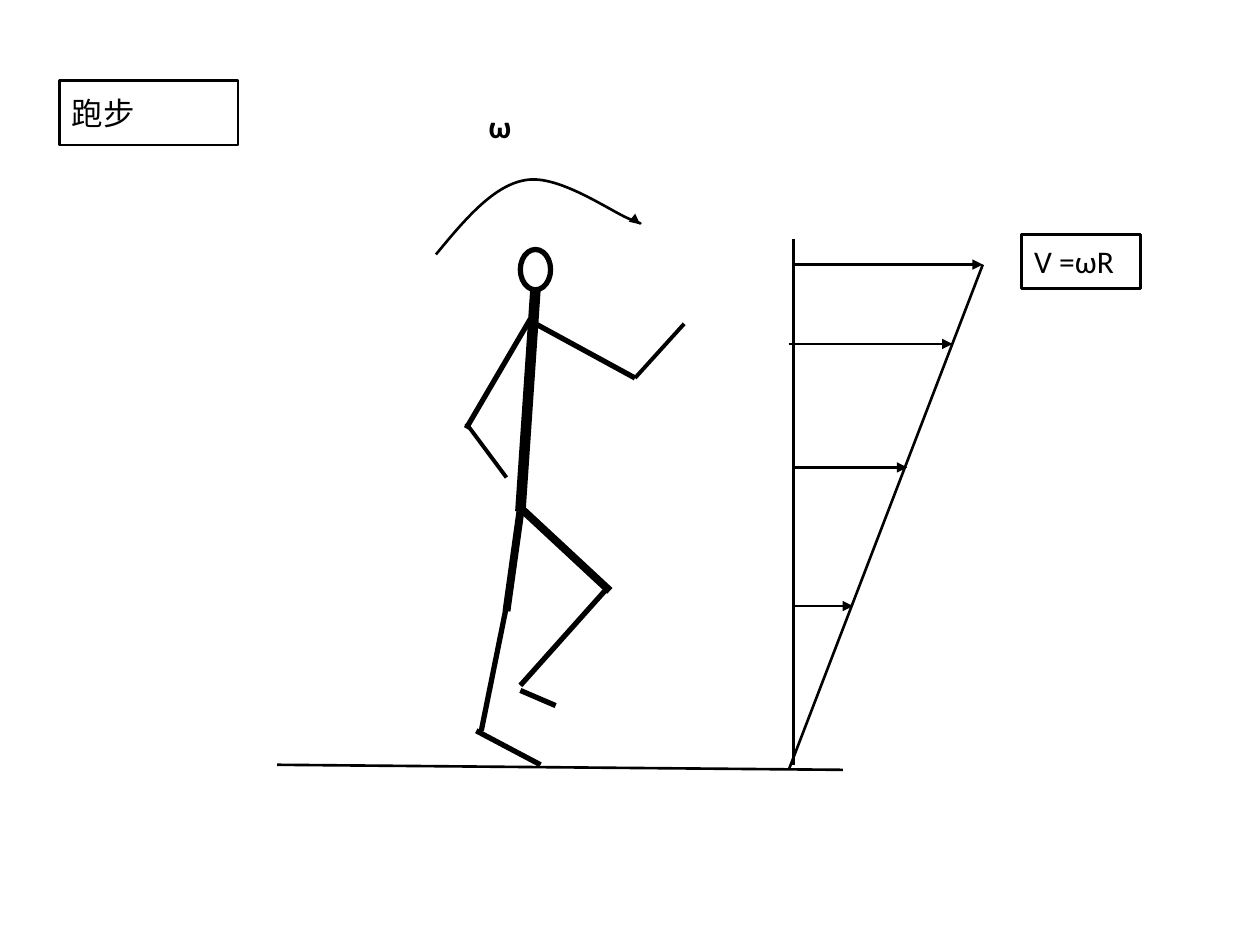
from dataclasses import dataclass

from lxml.etree import SubElement
from pptx import Presentation
from pptx.dml.color import RGBColor
from pptx.enum.shapes import MSO_CONNECTOR, MSO_SHAPE
from pptx.enum.text import MSO_ANCHOR, PP_ALIGN
from pptx.oxml.ns import qn
from pptx.util import Emu, Pt

PX = 9144
BLACK = RGBColor(0x00, 0x00, 0x00)
WHITE = RGBColor(0xFF, 0xFF, 0xFF)
THIN = 1.5


@dataclass
class Line:
    x1: int
    y1: int
    x2: int
    y2: int
    width: float = THIN
    arrow: bool = False


@dataclass
class Label:
    text: str
    x: int
    y: int
    w: int
    h: int
    border: RGBColor = BLACK
    bold: bool = False


RUNNER = [
    Line(425, 229, 413, 406, 6),
    Line(413, 406, 402, 485, 4.5),
    Line(402, 481, 382, 580, 3),
    Line(378, 580, 429, 607, 3),
    Line(413, 403, 484, 469, 4.5),
    Line(480, 469, 413, 544, 3),
    Line(413, 548, 441, 560, 3),
    Line(425, 257, 504, 300, 3),
    Line(543, 257, 504, 300, 2.25),
    Line(421, 253, 370, 340, 3),
    Line(370, 336, 402, 379, 2.25),
]
GROUND = Line(220, 607, 669, 611)
AXIS = Line(630, 190, 630, 607)
ENVELOPE = Line(780, 210, 626, 611)
VELOCITIES = [
    Line(x1, y, x2, y, arrow=True)
    for x1, x2, y in [(630, 780, 210), (626, 756, 273), (630, 720, 371), (630, 677, 481)]
]
ROTATION = [
    (346, 202),
    (369, 174), (392, 147), (417, 143),
    (443, 138), (485, 168), (500, 174),
    (515, 180), (511, 179), (508, 178),
]
LABELS = [
    Label("V =ωR", 811, 186, 94, 43),
    Label("ω", 378, 80, 87, 39, WHITE, True),
    Label("跑步", 47, 64, 142, 51),
]


def px(n: int) -> Emu:
    return Emu(n * PX)


def set_all(obj, values: dict) -> None:
    for name, value in values.items():
        setattr(obj, name, value)


def set_line(sp, width: float, color: RGBColor = BLACK, arrow: bool = False) -> None:
    sp.line.color.rgb = color
    sp.line.width = Pt(width)
    if arrow:
        ln = sp._element.spPr.find(qn("a:ln"))
        SubElement(ln, qn("a:tailEnd"), type="triangle")


def draw_line(s, item: Line) -> None:
    ends = map(px, (item.x1, item.y1, item.x2, item.y2))
    sp = s.shapes.add_connector(MSO_CONNECTOR.STRAIGHT, *ends)
    set_line(sp, item.width, arrow=item.arrow)
    SubElement(sp._element.spPr, qn("a:effectLst"))


def draw_shape(s, kind: MSO_SHAPE, box: tuple[int, ...], width: float, border: RGBColor = BLACK):
    sp = s.shapes.add_shape(kind, *map(px, box))
    sp.shadow.inherit = False
    sp.fill.solid()
    sp.fill.fore_color.rgb = WHITE
    set_line(sp, width, border)
    return sp


def draw_label(s, item: Label) -> None:
    box = (item.x, item.y, item.w, item.h)
    sp = draw_shape(s, MSO_SHAPE.RECTANGLE, box, THIN, item.border)
    tf = sp.text_frame
    set_all(tf, {
        "word_wrap": False, "vertical_anchor": MSO_ANCHOR.MIDDLE,
        "margin_left": px(10), "margin_right": px(10),
        "margin_top": 0, "margin_bottom": 0,
    })
    p = tf.paragraphs[0]
    p.alignment = PP_ALIGN.LEFT
    set_all(p._p.get_or_add_pPr(), {"marL": px(38), "indent": px(-38)})
    r = p.add_run()
    r.text = item.text
    set_all(r.font, {"name": "Calibri", "size": Pt(18), "bold": item.bold})
    r.font.color.rgb = BLACK


def draw_curve(s, points: list[tuple[int, int]]) -> None:
    start, *controls = points
    builder = s.shapes.build_freeform(*start, scale=PX)
    builder.add_line_segments(controls, close=False)
    sp = builder.convert_to_shape()
    sp.shadow.inherit = False
    sp.fill.background()
    set_line(sp, THIN, arrow=True)
    outline = next(sp._element.iter(qn("a:path")))
    segments = outline.findall(qn("a:lnTo"))
    for i in range(0, len(segments), 3):
        bezier = SubElement(outline, qn("a:cubicBezTo"))
        for segment in segments[i:i + 3]:
            bezier.append(segment[0])
            outline.remove(segment)


def main() -> None:
    prs = Presentation()
    set_all(prs, {"slide_width": px(1000), "slide_height": px(750)})
    s = prs.slides.add_slide(prs.slide_layouts[6])
    for item in [*RUNNER, GROUND, AXIS, ENVELOPE, *VELOCITIES]:
        draw_line(s, item)
    draw_shape(s, MSO_SHAPE.OVAL, (413, 198, 24, 32), 3)
    draw_curve(s, ROTATION)
    for item in LABELS:
        draw_label(s, item)
    prs.save("out.pptx")


if __name__ == "__main__":
    main()
